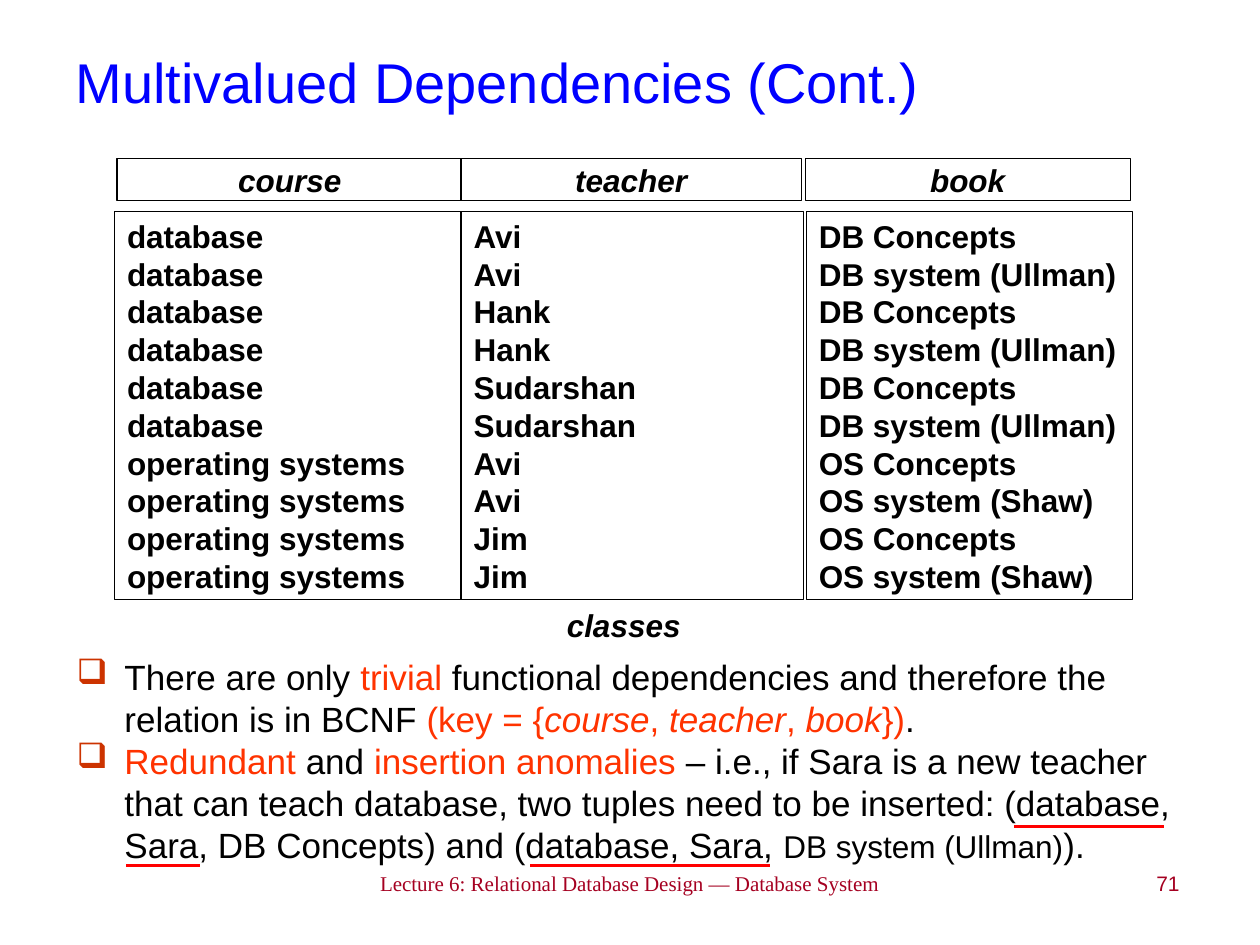
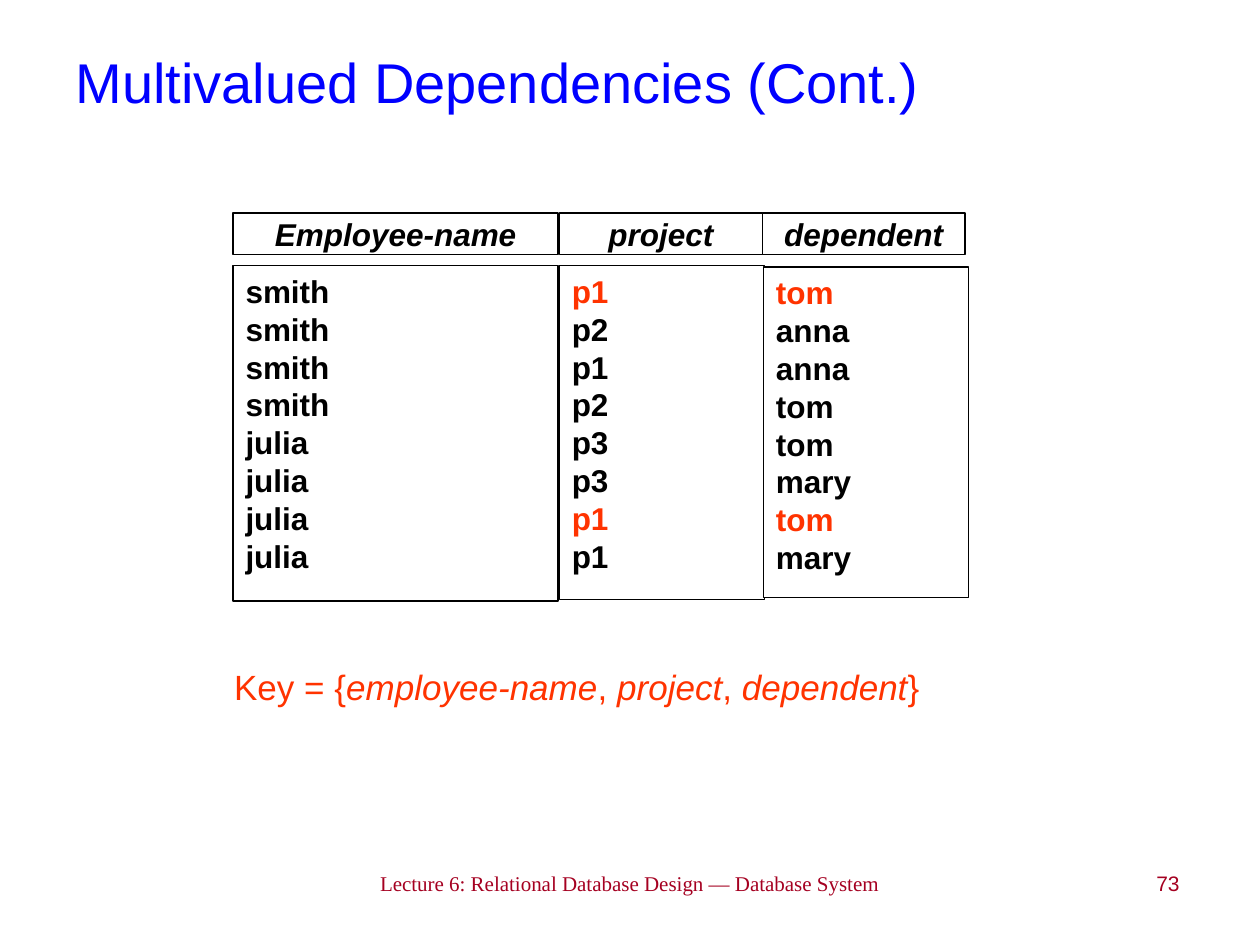
from lxml import etree
from pptx import Presentation
from pptx.dml.color import RGBColor
from pptx.enum import shapes, text
from pptx.oxml import ns
from pptx.util import Inches, Pt

BLACK = RGBColor(0x00, 0x00, 0x00)
WHITE = RGBColor(0xFF, 0xFF, 0xFF)
TITLE_BLUE = RGBColor(0x00, 0x00, 0xFF)
FOOTER_RED = RGBColor(0xA5, 0x00, 0x21)
HIGHLIGHT = RGBColor(0xFF, 0x33, 0x00)
UNDERLINE_RED = RGBColor(0xFF, 0x00, 0x00)
BULLET_COLOUR = "CC3300"

LEFT, CENTER, RIGHT = text.PP_ALIGN.LEFT, text.PP_ALIGN.CENTER, text.PP_ALIGN.RIGHT
TOP, MIDDLE = text.MSO_ANCHOR.TOP, text.MSO_ANCHOR.MIDDLE
HOT = {"color": HIGHLIGHT}
HOT_ITALIC = {"color": HIGHLIGHT, "italic": True}

prs = Presentation()
prs.slide_width, prs.slide_height = Inches(10), Inches(7.5)


def write(slide, place, paragraphs, size, align=LEFT, anchor=TOP,
          boxed=False, bullet=None, **base):
    """Add a box of text; each paragraph is a list of (text, format) runs."""
    place = [Inches(length) for length in place]
    if boxed:
        box = slide.shapes.add_shape(shapes.MSO_SHAPE.RECTANGLE, *place)
        box.shadow.inherit = False
        box.fill.solid()
        box.fill.fore_color.rgb = WHITE
        box.line.color.rgb = BLACK
        box.line.width = Pt(0.75)
    else:
        box = slide.shapes.add_textbox(*place)
    frame = box.text_frame
    frame.word_wrap = True
    frame.vertical_anchor = anchor
    for number, runs in enumerate(paragraphs):
        paragraph = frame.add_paragraph() if number else frame.paragraphs[0]
        paragraph.alignment = align
        paragraph.line_spacing = Pt(size * 1.2)
        if bullet:
            props = paragraph._p.get_or_add_pPr()
            props.set("marL", str(Inches(0.38)))
            props.set("indent", str(-Inches(0.38)))
            colour = etree.SubElement(props, ns.qn("a:buClr"))
            etree.SubElement(colour, ns.qn("a:srgbClr"), val=BULLET_COLOUR)
            etree.SubElement(props, ns.qn("a:buChar"), char=bullet)
        for words, changes in runs:
            run = paragraph.add_run()
            run.text = words
            look = {"name": "Arial", "size": Pt(size), "color": BLACK, **base, **changes}
            run.font.color.rgb = look.pop("color")
            for attribute, value in look.items():
                setattr(run.font, attribute, value)


def add_relation(slide, header_top, columns):
    """Draw columns of (heading, heading left and width, body place, values, marked rows)."""
    for heading, (left, width), body, values, marked in columns:
        write(slide, (left, header_top, width, 0.33), [[(heading, {})]], 18,
              CENTER, MIDDLE, boxed=True, bold=True, italic=True)
        rows = [[(value, HOT if row in marked else {})] for row, value in enumerate(values)]
        write(slide, body, rows, 18, boxed=True, bold=True,
              anchor=MIDDLE if len(rows) == 10 else TOP)


# Both slides: footer, page number and title
pages = []
for number in ("71", "73"):
    page = prs.slides.add_slide(prs.slide_layouts[6])
    write(page, (2.31, 6.86, 5.42, 0.45),
          [[("Lecture 6: Relational Database Design — Database System ", {})]],
          12, CENTER, name="Times New Roman", color=FOOTER_RED)
    write(page, (8.04, 6.86, 1.42, 0.44), [[(number, {})]], 12, RIGHT, color=FOOTER_RED)
    write(page, (0.5, 0.02, 9, 1.25), [[("Multivalued Dependencies (Cont.)", {})]],
          32, anchor=MIDDLE, color=TITLE_BLUE)
    pages.append(page)
classes_page, employees_page = pages

# Classes relation and its anomalies
courses = ["database"] * 6 + ["operating systems"] * 4
teachers = [name for name in ("Avi", "Hank", "Sudarshan", "Avi", "Jim") for _ in range(2)]
books = ["DB Concepts", "DB system (Ullman)"] * 3 + ["OS Concepts", "OS system (Shaw)"] * 2
add_relation(classes_page, 1.26, [
    ("course", (0.93, 2.74), (0.91, 1.68, 2.75, 3.08), courses, ()),
    ("teacher", (3.66, 2.7), (3.66, 1.68, 2.72, 3.08), teachers, ()),
    ("book", (6.39, 2.58), (6.4, 1.68, 2.59, 3.08), books, ()),
])
write(classes_page, (4.3, 4.76, 1.3, 0.4), [[("classes", {})]], 18, CENTER,
      bold=True, italic=True)
write(classes_page, (0.51, 5.15, 9, 1.76), [
    [("There are only ", {}), ("trivial", HOT),
     (" functional dependencies and therefore the relation is in BCNF ", {}),
     ("(key = {", HOT), ("course", HOT_ITALIC), (", ", HOT), ("teacher", HOT_ITALIC),
     (", ", HOT), ("book", HOT_ITALIC), ("})", HOT), (".", {})],
    [("Redundant", HOT), (" and ", {}), ("insertion anomalies ", HOT),
     ("– i.e., if Sara is a new teacher that can teach database, two tuples need to be "
      "inserted: (database, Sara, DB Concepts) and (database, Sara, ", {}),
     ("DB system (Ullman)", {"size": Pt(18)}), (").", {})],
], 20, bullet="❑")
for start, end, height in ((4.21, 6.11, 6.87), (8.05, 9.24, 6.56), (1, 1.59, 6.87)):
    underline = classes_page.shapes.add_connector(
        shapes.MSO_CONNECTOR.STRAIGHT,
        Inches(start), Inches(height), Inches(end), Inches(height))
    underline.line.color.rgb = UNDERLINE_RED
    underline.line.width = Pt(1.5)
    etree.SubElement(underline._element.spPr, ns.qn("a:effectLst"))

# Employees relation and its key
employees = ["smith"] * 4 + ["julia"] * 4
projects = ["p1", "p2", "p1", "p2", "p3", "p3", "p1", "p1"]
dependents = ["tom", "anna", "anna", "tom", "tom", "mary", "tom", "mary"]
add_relation(employees_page, 1.69, [
    ("Employee-name", (1.85, 2.58), (1.85, 2.11, 2.58, 2.66), employees, ()),
    ("project", (4.44, 1.61), (4.44, 2.11, 1.63, 2.65), projects, (0, 6)),
    ("dependent", (6.05, 1.61), (6.06, 2.12, 1.63, 2.62), dependents, (0, 6)),
])
write(employees_page, (1.76, 5.23, 5.8, 0.44), [
    [("Key = {", {}), ("employee-name", HOT_ITALIC), (", ", {}), ("project", HOT_ITALIC),
     (", ", {}), ("dependent", HOT_ITALIC), ("}", {})],
], 20, color=HIGHLIGHT)

prs.save("out.pptx")
